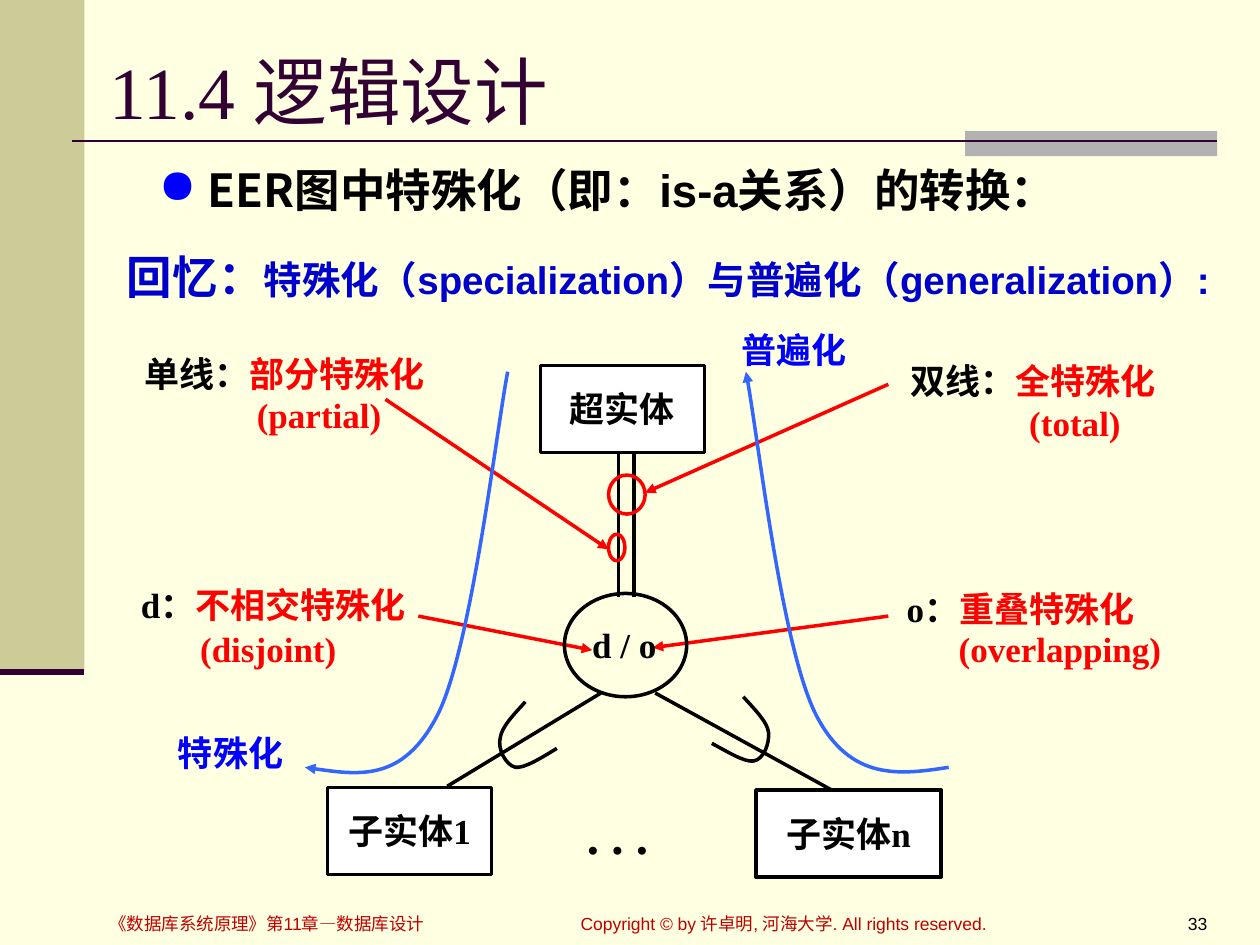
from lxml import etree
from pptx import Presentation
from pptx.dml.color import RGBColor
from pptx.enum import shapes, text
from pptx.oxml import ns
from pptx.util import Inches, Pt

BLACK, RED, BLUE, PLUM, CURVE = "000000", "FF0000", "0000FF", "330033", "3366FF"
TIMES, ARIAL, NOTO = "Times New Roman", "Arial", "Noto Sans CJK SC"
LEFT, CENTER, RIGHT = text.PP_ALIGN.LEFT, text.PP_ALIGN.CENTER, text.PP_ALIGN.RIGHT
TOP, MIDDLE = text.MSO_ANCHOR.TOP, text.MSO_ANCHOR.MIDDLE
RECT, OVAL = shapes.MSO_SHAPE.RECTANGLE, shapes.MSO_SHAPE.OVAL

prs = Presentation()
prs.slide_width, prs.slide_height = Inches(10), Inches(7.5)
s = prs.slides.add_slide(prs.slide_layouts[6])
color = RGBColor.from_string
s.background.fill.solid()
s.background.fill.fore_color.rgb = color("FFFFE1")


def write(sp, runs, size=20, font=TIMES, bold=True, align=CENTER, anchor=TOP):
    """Fill a shape with one paragraph of (text, colour) runs."""
    tf = sp.text_frame
    tf.word_wrap = True
    tf.vertical_anchor = anchor
    p = tf.paragraphs[0]
    p.alignment = align
    for words, c in runs:
        r = p.add_run()
        r.text = words
        r.font.size, r.font.name, r.font.bold = Pt(size), font, bold
        r.font.color.rgb = color(c)
    return p


def outline(sp, c, width=2, arrow=False):
    """Set the line, with an optional arrowhead at its end, and drop the shadow."""
    sp.line.color.rgb = color(c)
    sp.line.width = Pt(width)
    if arrow:
        ln = sp.line._get_or_add_ln()
        etree.SubElement(ln, ns.qn("a:tailEnd"), type="triangle")
    if not sp._element.spPr.findall(ns.qn("a:effectLst")):
        etree.SubElement(sp._element.spPr, ns.qn("a:effectLst"))


# Side band, title accent and rules
for at, c in [((0, 0, 0.67, 5.33), "CCCC99"), ((7.66, 1.04, 2, 0.2), "B2B2B2")]:
    sp = s.shapes.add_shape(RECT, *map(Inches, at))
    sp.shadow.inherit = False
    sp.fill.solid()
    sp.fill.fore_color.rgb = color(c)
    sp.line.fill.background()

# Rules, tree branches and red pointers: start, end, colour, width, arrow
for start, end, c, width, arrow in [
    ((0.57, 1.12), (9.66, 1.12), PLUM, 1.5, False),
    ((0, 5.33), (0.67, 5.33), PLUM, 3.5, False),
    ((4.77, 5.5), (3.55, 6.24), BLACK, 2, False),
    ((5.2, 5.5), (6.6, 6.27), BLACK, 2, False),
    ((4.91, 4.74), (4.91, 3.59), BLACK, 2, False),
    ((5.03, 4.74), (5.03, 3.59), BLACK, 2, False),
    ((7.05, 3.05), (5.12, 3.91), RED, 2, True),
    ((3.06, 3.17), (4.83, 4.36), RED, 2, True),
    ((3.32, 4.89), (4.7, 5.16), RED, 2, True),
    ((7.05, 4.89), (5.18, 5.14), RED, 2, True),
]:
    cx = s.shapes.add_connector(shapes.MSO_CONNECTOR.STRAIGHT, *map(Inches, start + end))
    outline(cx, c, width, arrow)

# Entity boxes
for at, name in [
    ((4.29, 2.9, 1.3, 0.69), "超实体"),
    ((2.6, 6.25, 1.3, 0.69), "子实体1"),
    ((6, 6.27, 1.47, 0.69), "子实体n"),
]:
    sp = s.shapes.add_shape(RECT, *map(Inches, at))
    sp.shadow.inherit = False
    sp.fill.solid()
    sp.fill.fore_color.rgb = color("FFFFFF")
    outline(sp, BLACK)
    write(sp, [(name, BLACK)], anchor=MIDDLE)

# Constraint circle and the two marks on the double line
for at, c in [
    ((4.48, 4.71, 0.97, 0.82), BLACK),
    ((4.83, 3.77, 0.29, 0.31), RED),
    ((4.83, 4.24, 0.13, 0.21), RED),
]:
    sp = s.shapes.add_shape(OVAL, *map(Inches, at))
    sp.shadow.inherit = False
    sp.fill.background()
    outline(sp, c)

# Curves: a start point, then three Bezier points per segment
for points, c, arrow in [
    ([(4.17, 5.57), (4.08, 5.67), (3.98, 5.77), (3.97, 5.86),
      (3.95, 5.94), (4.01, 6.07), (4.09, 6.09),
      (4.16, 6.1), (4.29, 6.02), (4.42, 5.94)], BLACK, False),
    ([(5.9, 5.53), (5.99, 5.63), (6.09, 5.73), (6.1, 5.81),
      (6.11, 5.9), (6.06, 6.03), (5.98, 6.04),
      (5.91, 6.05), (5.78, 5.97), (5.65, 5.9)], BLACK, False),
    ([(4.03, 2.95), (3.94, 3.41), (3.74, 5.16), (3.47, 5.68),
      (3.2, 6.2), (2.81, 6.15), (2.42, 6.09)], CURVE, True),
    ([(7.53, 6.09), (7.14, 6.15), (6.75, 6.2), (6.48, 5.68),
      (6.21, 5.16), (6.01, 3.41), (5.92, 2.95)], CURVE, True),
]:
    points = [(Inches(x), Inches(y)) for x, y in points]
    fb = s.shapes.build_freeform(*points[0])
    fb.add_line_segments(points[1:], close=False)
    sp = fb.convert_to_shape()
    sp.shadow.inherit = False
    sp.fill.background()
    outline(sp, c, arrow=arrow)
    steps = list(sp._element.iter(ns.qn("a:lnTo")))
    for i in range(0, len(steps), 3):
        bezier = etree.Element(ns.qn("a:cubicBezTo"))
        steps[i].addprevious(bezier)
        for step in steps[i:i + 3]:
            bezier.append(step[0])
            step.getparent().remove(step)

# Diagram labels
for at, runs, align, anchor in [
    ((4.39, 4.77, 1.13, 0.69), [("d / o", BLACK)], CENTER, MIDDLE),
    ((0.97, 2.75, 2.58, 0.42), [("单线：", BLACK), ("部分特殊化", RED)], CENTER, TOP),
    ((6.9, 2.8, 2.6, 0.48), [("双线：", BLACK), ("全特殊化", RED)], CENTER, TOP),
    ((0.91, 4.58, 2.52, 0.48), [("d：", BLACK), ("不相交特殊化", RED)], CENTER, TOP),
    ((6.95, 4.61, 2.3, 0.46), [("o：", BLACK), ("重叠特殊化", RED)], CENTER, TOP),
    ((1.14, 5.76, 1.38, 0.69), [("特殊化", BLUE)], CENTER, TOP),
    ((5.66, 2.56, 1.29, 0.47), [("普遍化", BLUE)], CENTER, TOP),
    ((1.94, 3.07, 1.46, 0.42), [("(partial)", RED)], LEFT, TOP),
    ((8.07, 3.14, 1.13, 0.42), [("(total)", RED)], LEFT, TOP),
    ((1.49, 4.93, 1.76, 0.42), [("(disjoint)", RED)], LEFT, TOP),
    ((7.51, 4.93, 1.9, 0.42), [("(overlapping)", RED)], LEFT, TOP),
]:
    write(s.shapes.add_textbox(*map(Inches, at)), runs, align=align, anchor=anchor)

dots = s.shapes.add_textbox(Inches(4.56), Inches(6.34), Inches(0.7), Inches(0.59))
write(dots, [(". . .", BLACK)], size=28, align=text.PP_ALIGN.JUSTIFY)

# Title, bullet and recall line
title = s.shapes.add_textbox(Inches(0.77), Inches(0.34), Inches(8.91), Inches(0.75))
write(title, [("11.4 逻辑设计", PLUM)], size=42, bold=False, align=LEFT, anchor=MIDDLE)

body = s.shapes.add_textbox(Inches(0.77), Inches(1.24), Inches(8.91), Inches(0.64))
p = write(body, [("EER图中特殊化（即：", BLACK), ("is-a", BLACK), ("关系）的转换：", BLACK)],
          size=26, font=NOTO, align=LEFT)
p.runs[1].font.name = ARIAL
pPr = p._p.get_or_add_pPr()
pPr.set("marL", str(Inches(0.78)))
pPr.set("indent", str(Inches(-0.39)))
bullet_color = etree.SubElement(pPr, ns.qn("a:buClr"))
etree.SubElement(bullet_color, ns.qn("a:srgbClr"), val=BLUE)
etree.SubElement(pPr, ns.qn("a:buSzPct"), val="105000")
etree.SubElement(pPr, ns.qn("a:buChar"), char="●")

recall = s.shapes.add_textbox(Inches(0.91), Inches(1.93), Inches(8.86), Inches(0.54))
p = write(recall, [("回忆：", "0000CC"),
                   ("特殊化（specialization）与普遍化（generalization）:", "0000CC")],
          size=22, font=ARIAL, align=LEFT)
p.runs[0].font.size = Pt(26)

# Footer
for left, width, words, c, align in [
    (0.77, 3.59, "《数据库系统原理》第11章—数据库设计", "C00000", LEFT),
    (4.51, 4.33, "Copyright © by 许卓明, 河海大学. All rights reserved.", "C00000", LEFT),
    (8.97, 0.71, "33", BLACK, RIGHT),
]:
    sp = s.shapes.add_textbox(Inches(left), Inches(7.2), Inches(width), Inches(0.3))
    write(sp, [(words, c)], size=10, font=ARIAL, bold=False, align=align)

prs.save("out.pptx")
